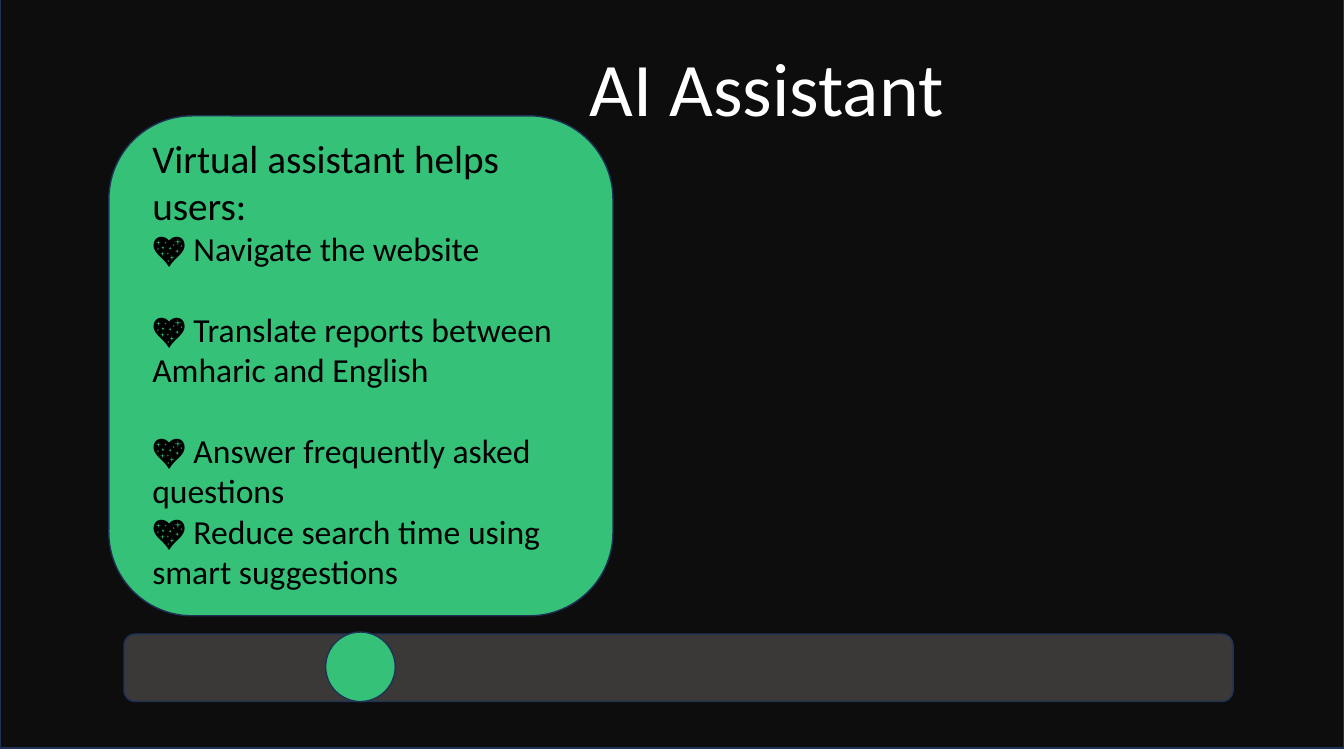
from lxml.etree import SubElement as Sub
from pptx import Presentation
from pptx.dml.color import RGBColor as Rgb
from pptx.enum.shapes import MSO_SHAPE as Geo
from pptx.enum.text import MSO_ANCHOR as Anchor, MSO_AUTO_SIZE as Fit, PP_ALIGN as Align
from pptx.oxml.ns import qn
from pptx.util import Inches, Pt

WIDE, HIGH = Inches(13.33), Inches(7.5)
HUES = {"night": "0D0D0D", "green": "36C179", "gray": "3B3838",
        "edge": "1E3256", "black": "000000", "white": "FFFFFF"}
INTRO = "Virtual assistant helps users:"
TASKS = [("Navigate the website", 28.8),
         ("Translate reports between Amharic and English", 28.8),
         ("Answer frequently asked questions", 0),
         ("Reduce search time using smart suggestions", 0)]


def hue(name):
    """Return the named colour."""
    return Rgb.from_string(HUES[name])


def area(left, top, wide, high):
    """Turn percentages of the slide into lengths."""
    return [round(share * side / 100) for share, side in
            ((left, WIDE), (top, HIGH), (wide, WIDE), (high, HIGH))]


def panel(slide, geo, fill, box):
    """Add a filled shape with a thin edge."""
    shape = slide.shapes.add_shape(geo, *area(*box))
    shape.shadow.inherit = False
    shape.fill.solid()
    shape.fill.fore_color.rgb = hue(fill)
    shape.line.color.rgb = hue("edge")
    shape.line.width = Pt(1)


def place(holder, box):
    """Move a placeholder to the front and into its box."""
    holder.left, holder.top, holder.width, holder.height = area(*box)
    holder.element.getparent().append(holder.element)
    frame = holder.text_frame
    frame.word_wrap = True
    frame.auto_size = Fit.NONE
    frame.vertical_anchor = Anchor.TOP
    return frame


def write(para, text, size, color, align, after=0):
    """Fill and format one plain paragraph."""
    para.text = text
    para.alignment = align
    para.line_spacing = 1.0
    para.space_before, para.space_after = Pt(0), Pt(after)
    props = para._p.get_or_add_pPr()
    props.set("marL", "0")
    props.set("indent", "0")
    Sub(props, qn("a:buNone"))
    for run in para.runs:
        run.font.name = "Calibri"
        run.font.size = Pt(size)
        run.font.color.rgb = hue(color)


def main():
    """Build and save the slide."""
    deck = Presentation()
    deck.slide_width, deck.slide_height = WIDE, HIGH
    slide = deck.slides.add_slide(deck.slide_layouts[1])

    panel(slide, Geo.RECTANGLE, "night", (0, -1.07, 100, 100))
    panel(slide, Geo.ROUNDED_RECTANGLE, "green", (8.1, 15.33, 37.51, 66.13))
    panel(slide, Geo.ROUNDED_RECTANGLE, "gray", (9.23, 83.87, 82.52, 8.93))
    panel(slide, Geo.OVAL, "green", (24.23, 83.6, 5.18, 9.2))

    body = place(slide.placeholders[1], (10.58, 17.07, 32.48, 74.93))
    write(body.paragraphs[0], INTRO, 28, "black", Align.LEFT)
    for task, gap in TASKS:
        write(body.add_paragraph(), f"💖 {task}", 24, "black", Align.LEFT, gap)

    title = place(slide.shapes.title, (18.9, 4.8, 76.29, 13.47))
    write(title.paragraphs[0], "AI Assistant", 54, "white", Align.CENTER)
    deck.save("out.pptx")


if __name__ == "__main__":
    main()
